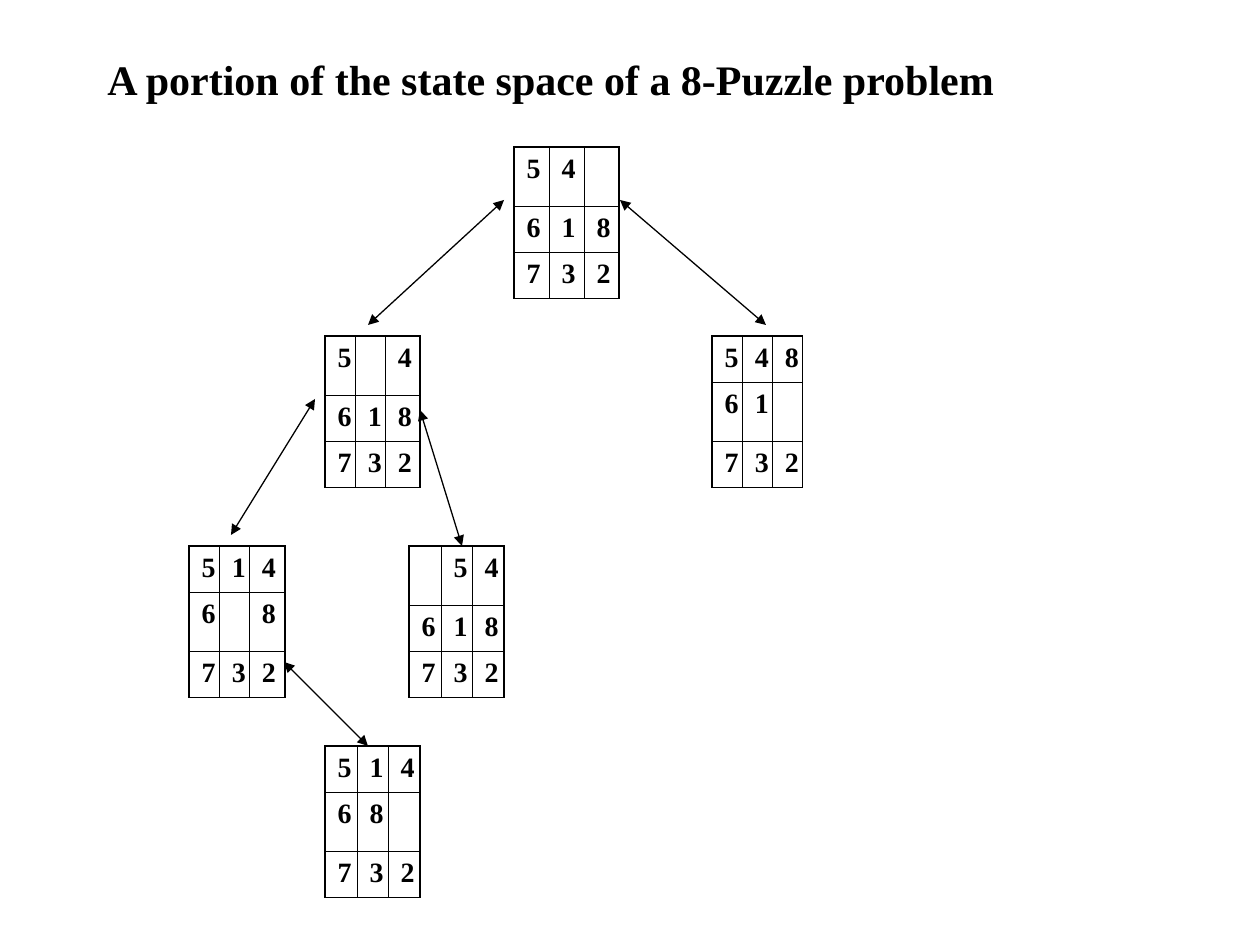
from dataclasses import dataclass

from lxml import etree
from pptx import Presentation
from pptx import util as u
from pptx.dml.color import RGBColor
from pptx.enum import shapes, text
from pptx.oxml.ns import qn

SCALE = 914400 / 126


@dataclass(frozen=True)
class Theme:
    font: str = "Times New Roman"
    ink: str = "000000"
    head: int = 24
    tile: int = 16
    edge: float = 1.08
    grid: float = 0.45
    link: float = 0.75


LOOK = Theme()
ROW = 46
GAP_ROW = 59

BOARDS = [
    ((514, 147), (35, 35, 35), ("54 ", "618", "732")),
    ((325, 336), (30, 30, 35), ("5 4", "618", "732")),
    ((712, 336), (30, 30, 30), ("548", "61 ", "732")),
    ((189, 546), (30, 30, 36), ("514", "6 8", "732")),
    ((325, 746), (32, 31, 32), ("514", "68 ", "732")),
    ((409, 546), (32, 31, 32), (" 54", "618", "732")),
]
MOVES = [
    ((504, 200), (368, 325)),
    ((620, 200), (766, 325)),
    ((315, 399), (231, 535)),
    ((420, 410), (462, 546)),
    ((284, 662), (368, 746)),
]


def px(n):
    return u.Emu(round(n * SCALE))


def add_run(para, words, size):
    run = para.add_run()
    run.text = words
    run.font.name = LOOK.font
    run.font.size = u.Pt(size)
    run.font.bold = True
    run.font.color.rgb = RGBColor.from_string(LOOK.ink)


def add_title(slide, box, words):
    frame = slide.shapes.add_textbox(*map(px, box)).text_frame
    frame.word_wrap = True
    frame.vertical_anchor = text.MSO_ANCHOR.MIDDLE
    add_run(frame.paragraphs[0], words, LOOK.head)


def add_border(cell, side, width):
    props = cell._tc.get_or_add_tcPr()
    line = etree.SubElement(props, qn("a:ln" + side), w=str(u.Pt(width)))
    fill = etree.SubElement(line, qn("a:solidFill"))
    etree.SubElement(fill, qn("a:srgbClr"), val=LOOK.ink)


def add_board(slide, spot, cols, rows):
    highs = [GAP_ROW if " " in row else ROW for row in rows]
    box = (*spot, sum(cols), sum(highs))
    table = slide.shapes.add_table(3, 3, *map(px, box)).table
    table.first_row = table.horz_banding = False
    for col, wide in zip(table.columns, cols):
        col.width = px(wide)
    for r, (row, high) in enumerate(zip(rows, highs)):
        table.rows[r].height = px(high)
        for c, tile in enumerate(row):
            cell = table.cell(r, c)
            outer = {"L": c == 0, "R": c == 2, "T": r == 0, "B": r == 2}
            for side, edge in outer.items():
                add_border(cell, side, LOOK.edge if edge else LOOK.grid)
            cell.fill.background()
            if tile != " ":
                add_run(cell.text_frame.paragraphs[0], tile, LOOK.tile)


def add_move(slide, start, end):
    link = slide.shapes.add_connector(
        shapes.MSO_CONNECTOR.STRAIGHT, *map(px, start + end))
    link.line.width = u.Pt(LOOK.link)
    link.line.color.rgb = RGBColor.from_string(LOOK.ink)
    props = link._element.spPr
    for tip in ("a:headEnd", "a:tailEnd"):
        etree.SubElement(props.find(qn("a:ln")), qn(tip), type="triangle")
    etree.SubElement(props, qn("a:effectLst"))


def main():
    deck = Presentation()
    deck.slide_width = px(1260)
    deck.slide_height = px(945)
    slide = deck.slides.add_slide(deck.slide_layouts[6])
    add_title(slide, (95, 42, 1071, 73),
              "A portion of the state space of a 8-Puzzle problem")
    for board in BOARDS:
        add_board(slide, *board)
    for move in MOVES:
        add_move(slide, *move)
    deck.save("out.pptx")


if __name__ == "__main__":
    main()
